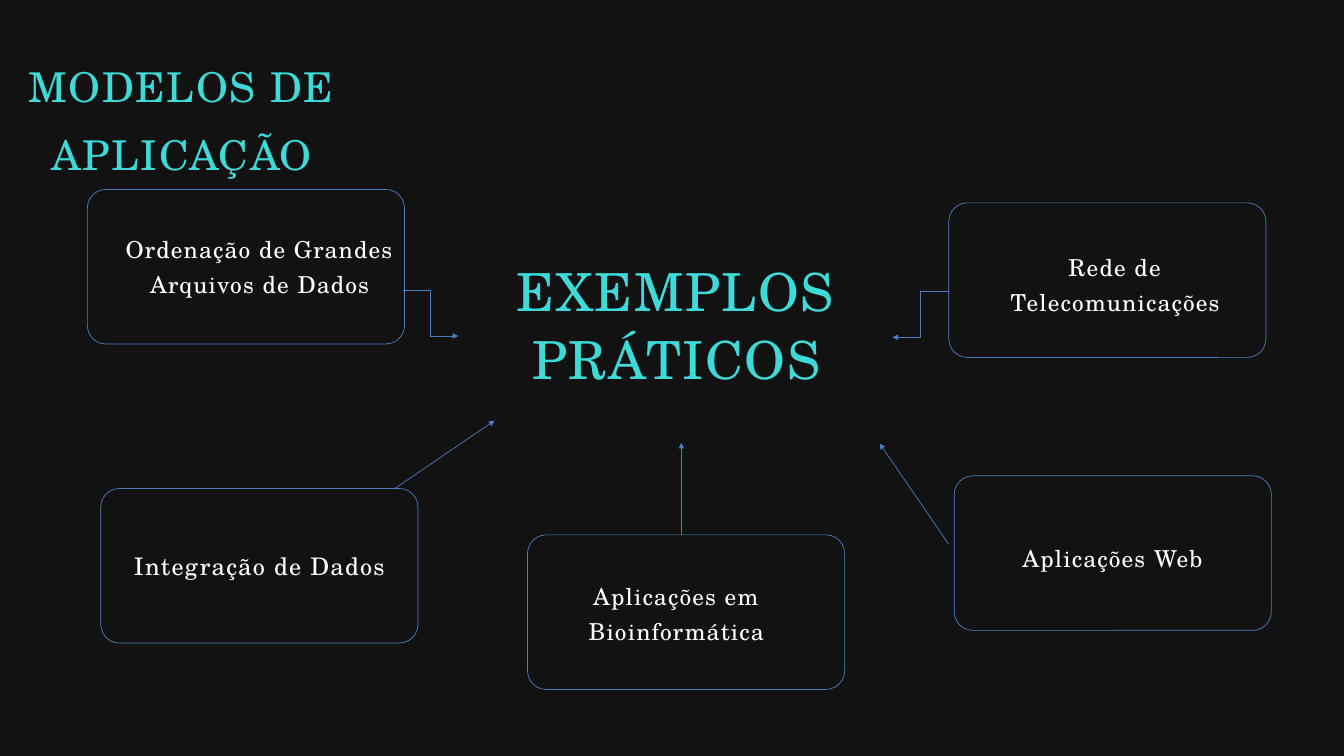
from pptx import Presentation
from pptx.dml.color import RGBColor as Rgb
from pptx.enum.shapes import MSO_CONNECTOR as Link, MSO_SHAPE as Form
from pptx.enum.text import MSO_ANCHOR as Anchor, MSO_AUTO_SIZE as Fit, PP_ALIGN as Align
from pptx.oxml.ns import qn
from pptx.util import Pt
from lxml.etree import SubElement as Sub

INK = {"back": "121212", "text": "FFFFFF", "head": "3EDAD8", "edge": "4F81BD", "link": "4B7EBC"}
FACE = "TeX Gyre Schola"
CARD = (339.8, 165.6)

CARDS = [
    ("Ordenação de Grandes Arquivos de Dados", (93.6, 203), (126.7, 244.1), 25),
    ("Aplicações em Bioinformática", (565.2, 573.1), (573.1, 616.3), 25),
    ("Integração de Dados", (108, 523.4), (121, 583.2), 25.9),
    ("Aplicações Web", (1022.4, 509.8), (1040.4, 575.3), 25),
    ("Rede de Telecomunicações", (1016.6, 217.4), (1043.3, 264.2), 25),
]
LINKS = [
    (Link.ELBOW, (1016.6, 312.5), (956.2, 361.4)),
    (Link.ELBOW, (431.3, 311), (491, 360)),
    (Link.STRAIGHT, (421.9, 524.2), (529.9, 450.7)),
    (Link.STRAIGHT, (1016.6, 583.2), (942.5, 475.2)),
    (Link.STRAIGHT, (730.1, 573.1), (730.1, 474.5)),
]


class Deck:
    def __init__(self):
        self.file = Presentation()
        self.file.slide_width, self.file.slide_height = Pt(1440), Pt(810)
        self.page = self.file.slides.add_slide(self.file.slide_layouts[5])
        fill = self.page.background.fill
        fill.solid()
        fill.fore_color.rgb = Rgb.from_string(INK["back"])

    def letter(self, shape, words, size, lead, gap, ink):
        frame = shape.text_frame
        frame.text = words
        frame.word_wrap = True
        frame.auto_size = Fit.NONE
        frame.vertical_anchor = Anchor.TOP
        frame.margin_left = frame.margin_right = frame.margin_top = frame.margin_bottom = 0
        para = frame.paragraphs[0]
        para.alignment = Align.CENTER
        para.line_spacing = Pt(lead)
        font = para.font
        font.name, font.size = FACE, Pt(size)
        font.color.rgb = Rgb.from_string(INK[ink])
        para.runs[0]._r.get_or_add_rPr().set("spc", str(round(gap * 100)))

    def title(self, words, x, y, w, h):
        shape = self.page.shapes.title
        shape.left, shape.top, shape.width, shape.height = map(Pt, (x, y, w, h))
        self.letter(shape, words, 44, 73.1, 1.7, "head")

    def text(self, words, x, y, w, h, *style):
        self.letter(self.page.shapes.add_textbox(*map(Pt, (x, y, w, h))), words, *style)

    def card(self, x, y):
        box = self.page.shapes.add_shape(Form.ROUNDED_RECTANGLE, *map(Pt, (x, y, *CARD)))
        box.adjustments[0] = 0.12
        box.shadow.inherit = False
        box.fill.background()
        self.edge(box, "edge")

    def arrow(self, kind, start, end):
        link = self.page.shapes.add_connector(kind, *map(Pt, (*start, *end)))
        self.edge(link, "link")
        form = link._element.spPr
        Sub(form.get_or_add_ln(), qn("a:tailEnd"), type="triangle")
        Sub(form, qn("a:effectLst"))

    def edge(self, shape, ink):
        shape.line.color.rgb = Rgb.from_string(INK[ink])
        shape.line.width = Pt(0.75)


def main():
    deck = Deck()
    deck.title("MODELOS DE APLICAÇÃO", 0, 45.4, 389.5, 145.4)
    deck.text("EXEMPLOS PRÁTICOS", 529.9, 272.2, 389.5, 144.7, 56.2, 73.1, 1.7, "head")
    for words, spot, label, size in CARDS:
        wide = 303.1 * size / 25
        deck.text(words, *label, wide, 72.7, size, size * 1.5, size * 0.05, "text")
        deck.card(*spot)
    for link in LINKS:
        deck.arrow(*link)
    deck.file.save("out.pptx")


if __name__ == "__main__":
    main()
